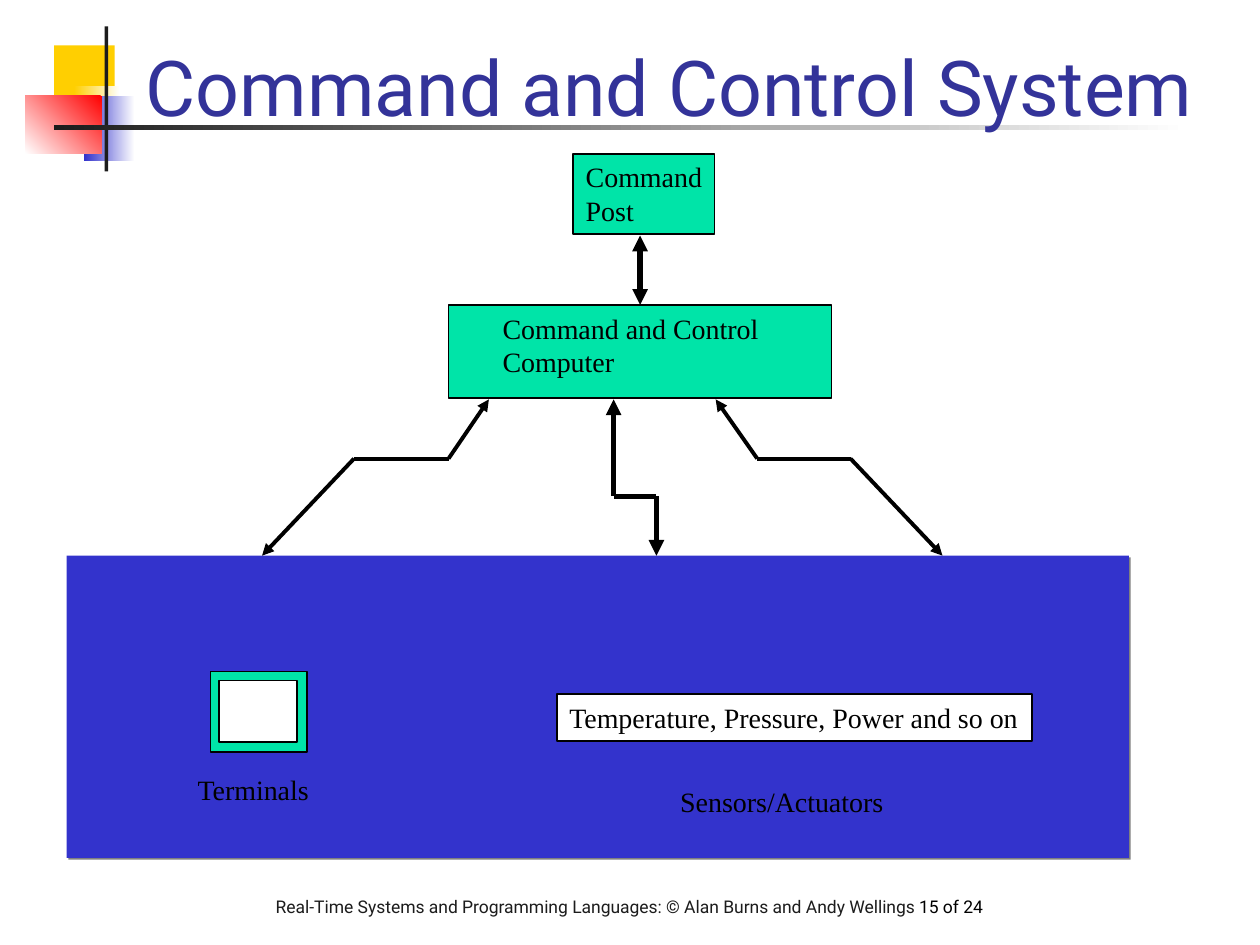
from dataclasses import dataclass
from itertools import pairwise
from lxml import etree
from pptx import Presentation, util as u
from pptx.dml.color import RGBColor
from pptx.enum import shapes, text
from pptx.oxml.ns import qn


@dataclass(frozen=True)
class Theme:
    ink: str = "000000"
    charcoal: str = "1C1C1C"
    heading: str = "333399"
    blue: str = "3333CC"
    green: str = "00E4A8"
    yellow: str = "FFCF01"
    red: str = "FF0000"
    white: str = "FFFFFF"
    shade: str = "808080"
    sans: str = "Roboto"
    serif: str = "Times New Roman"
    title_size: float = 44
    label_size: float = 16
    footer_size: float = 10
    outline: float = 1
    link: float = 2.25
    trunk: float = 3


class Sketch:
    COLUMNS, ROWS = 100, 75

    def __init__(self, deck, theme):
        self.theme = theme
        self.cell_width = deck.slide_width / self.COLUMNS
        self.cell_height = deck.slide_height / self.ROWS
        self.slide = deck.slides.add_slide(deck.slide_layouts[6])
        self.layer = self.slide.shapes

    def group(self):
        return self.slide.shapes.add_group_shape().shapes

    def place(self, column, row):
        return u.Emu(round(column * self.cell_width)), u.Emu(round(row * self.cell_height))

    def apply(self, target, values):
        for name, value in values.items():
            setattr(target, name, value)

    def box(self, area, fill, outlined=True, angle=None, shadow=False, layer=None):
        shape = (layer or self.layer).add_shape(
            shapes.MSO_SHAPE.RECTANGLE, *self.place(*area[:2]), *self.place(*area[2:]))
        shape.shadow.inherit = False
        if angle is None:
            shape.fill.solid()
            shape.fill.fore_color.rgb = RGBColor.from_string(fill)
        else:
            shape.fill.gradient()
            shape.fill.gradient_angle = angle
            for stop, color, position in zip(shape.fill.gradient_stops, fill, (0, 1)):
                stop.color.rgb = RGBColor.from_string(color)
                stop.position = position
        if outlined:
            shape.line.color.rgb = RGBColor.from_string(self.theme.ink)
            shape.line.width = u.Pt(self.theme.outline)
        else:
            shape.line.fill.background()
        if shadow:
            effects = shape._element.spPr.find(qn("a:effectLst"))
            cast = etree.SubElement(effects, qn("a:outerShdw"),
                                    dist=str(u.Pt(1.4)), dir=str(45 * 60000))
            etree.SubElement(cast, qn("a:srgbClr"), val=self.theme.shade)
        return shape

    def letter(self, shape, lines, font=None, size=None, anchor=text.MSO_ANCHOR.TOP, grow=True):
        frame = shape.text_frame
        self.apply(frame, {
            "word_wrap": False,
            "auto_size": text.MSO_AUTO_SIZE.SHAPE_TO_FIT_TEXT if grow else text.MSO_AUTO_SIZE.NONE,
            "vertical_anchor": anchor,
        })
        for index, pieces in enumerate(lines):
            paragraph = frame.add_paragraph() if index else frame.paragraphs[0]
            paragraph.alignment = text.PP_ALIGN.LEFT
            for words, color in pieces:
                run = paragraph.add_run()
                run.text = words
                self.apply(run.font, {"name": font or self.theme.serif,
                                      "size": u.Pt(size or self.theme.label_size)})
                run.font.color.rgb = RGBColor.from_string(color)

    def label(self, area, lines, **style):
        caption = self.layer.add_textbox(*self.place(*area[:2]), *self.place(*area[2:]))
        self.letter(caption, lines, **style)

    def route(self, points, width, layer=None):
        legs = list(pairwise(points))
        for index, (start, end) in enumerate(legs):
            leg = (layer or self.layer).add_connector(
                shapes.MSO_CONNECTOR.STRAIGHT, *self.place(*start), *self.place(*end))
            leg.line.color.rgb = RGBColor.from_string(self.theme.ink)
            leg.line.width = u.Pt(width)
            outline = leg._element.spPr.find(qn("a:ln"))
            if index == 0:
                etree.SubElement(outline, qn("a:headEnd"), type="triangle")
            if index == len(legs) - 1:
                etree.SubElement(outline, qn("a:tailEnd"), type="triangle")
            etree.SubElement(leg._element.spPr, qn("a:effectLst"))


def plain(color, *lines):
    return [[(line, color)] for line in lines]


theme = Theme()
deck = Presentation()
deck.slide_width, deck.slide_height = u.Inches(10), u.Inches(7.5)
sketch = Sketch(deck, theme)

for area, fill, angle in (
    ((4.3, 3.6, 4.8, 5.2), theme.yellow, None),
    ((5.9, 6.8, 3.6, 5.2), (theme.white, theme.yellow), 180),
    ((6.7, 7.6, 4, 5.2), (theme.white, theme.blue), 180),
    ((2, 7.6, 6.1, 4.6), (theme.red, theme.white), 225),
    ((8.3, 2.1, 0.3, 11.5), theme.charcoal, None),
    ((4.3, 9.9, 90, 0.4), (theme.white, theme.charcoal), 180),
):
    sketch.box(area, fill, outlined=False, angle=angle)

sketch.label((20.9, 70.6, 60.6, 4.6), [[
    ("Real-Time Systems and Programming Languages: © Alan Burns and Andy Wellings ", theme.charcoal),
    ("15 of 24", theme.ink),
]], font=theme.sans, size=theme.footer_size, grow=False)
sketch.label((10.6, 1.3, 85.2, 9.7), plain(theme.heading, "Command and Control System"),
             font=theme.sans, size=theme.title_size, anchor=text.MSO_ANCHOR.BOTTOM, grow=False)

sketch.box((5.3, 44.1, 84.3, 24), theme.blue, outlined=False, shadow=True)
terminal = sketch.group()
sketch.box((16.7, 53.3, 7.7, 6.4), theme.green, layer=terminal)
sketch.box((17.4, 54, 6.2, 4.9), theme.white, layer=terminal)
readings = sketch.box((44.2, 55.1, 37.7, 3.7), theme.white)
sketch.letter(readings, plain(theme.ink, "Temperature, Pressure, Power and so on"))
sketch.label((14.7, 60.8, 11, 3.7), plain(theme.ink, "Terminals"))

computer_top, computer_bottom, bend, panel_top = 24.2, 31.7, 36.4, 44.1
sketch.box((35.6, computer_top, 30.4, 7.4), theme.green)
for panel_end, outer, inner, computer_end in ((20.8, 28.1, 35.6, 38.8), (74.8, 67.5, 60.1, 56.8)):
    sketch.route([(panel_end, panel_top), (outer, bend), (inner, bend),
                  (computer_end, computer_bottom)], theme.link, sketch.group())
sketch.route([(48.7, computer_bottom), (48.7, 39.4), (52.1, 39.4), (52.1, panel_top)], theme.trunk)

sketch.label((38.9, computer_top, 22.3, 6.4), plain(theme.ink, "Command and Control", "Computer"))
post = sketch.box((45.5, 12.2, 11.2, 6.4), theme.green)
sketch.letter(post, plain(theme.ink, "Command", "Post"))
sketch.route([(50.8, 18.7), (50.8, computer_top)], theme.trunk)
sketch.label((53, 61.8, 18.1, 3.7), plain(theme.ink, "Sensors/Actuators"))

deck.save("out.pptx")
